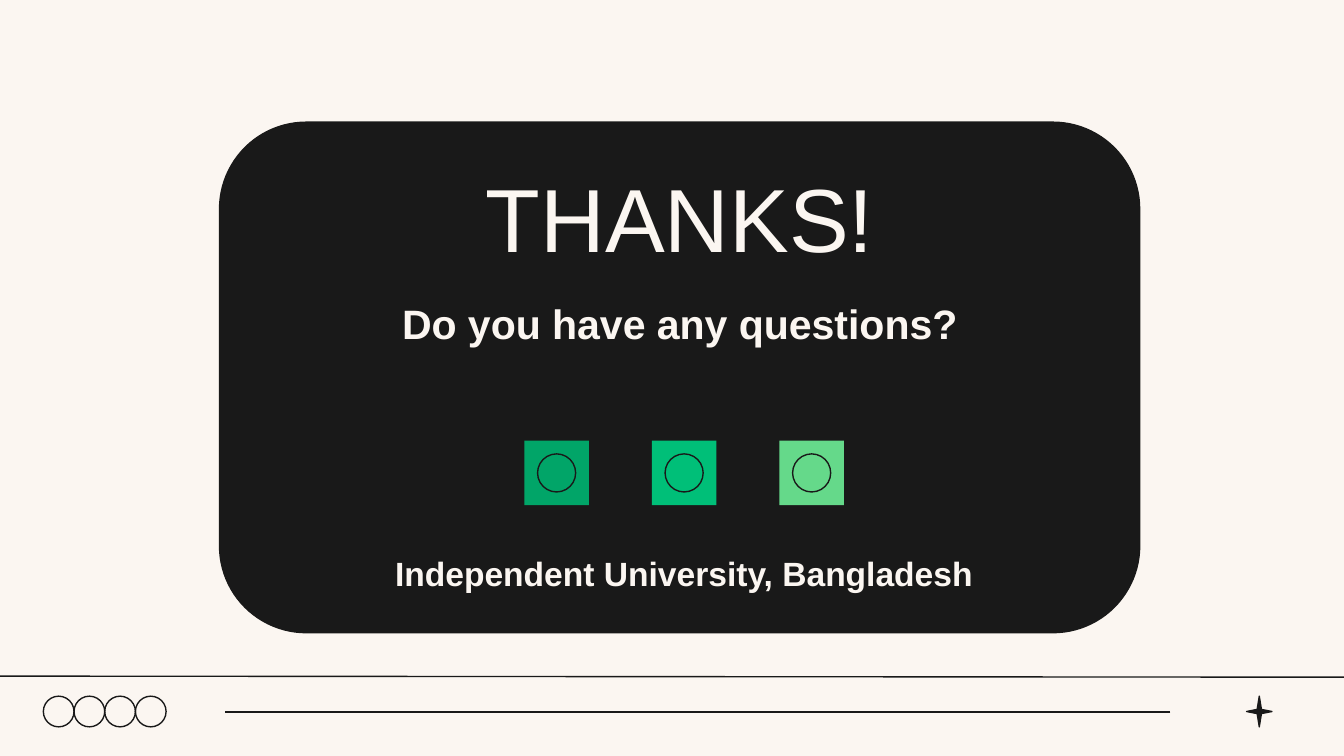
import pptx
import pptx.util
import pptx.dml.color
import pptx.enum.shapes
import pptx.enum.text
import pptx.oxml.ns
from lxml import etree

Cm = pptx.util.Cm
Pt = pptx.util.Pt
RGBColor = pptx.dml.color.RGBColor
Kind = pptx.enum.shapes.MSO_SHAPE
Anchor = pptx.enum.text.MSO_ANCHOR

CREAM = RGBColor(0xFB, 0xF6, 0xF1)
INK = RGBColor(0x19, 0x19, 0x19)
GREEN = RGBColor(0x01, 0xA5, 0x68)
JADE = RGBColor(0x00, 0xBF, 0x78)
MINT = RGBColor(0x65, 0xD9, 0x8A)


class Deck:
    face = "Arial"
    edge = Pt(0.75)
    inset = Cm(0.25)

    def __init__(self, slide):
        self.slide = slide
        self.shapes = slide.shapes

    def paint(self, shape, fill, line):
        shape.shadow.inherit = False
        if fill is None:
            shape.fill.background()
        else:
            shape.fill.solid()
            shape.fill.fore_color.rgb = fill
        if line is None:
            shape.line.fill.background()
        else:
            shape.line.color.rgb = line
            shape.line.width = self.edge

    def shape(self, kind, left, top, width, height, fill=None, line=None):
        shape = self.shapes.add_shape(
            kind, Cm(left), Cm(top), Cm(width), Cm(height))
        self.paint(shape, fill, line)
        return shape

    def line(self, left, top, right, bottom):
        line = self.shapes.add_connector(
            pptx.enum.shapes.MSO_CONNECTOR.STRAIGHT,
            Cm(left), Cm(top), Cm(right), Cm(bottom))
        line.line.color.rgb = INK
        line.line.width = self.edge
        etree.SubElement(line._element.spPr, pptx.oxml.ns.qn("a:effectLst"))

    def spark(self, x, y, wide, high, core):
        points = [(0, -high), (-core, -core), (-wide, 0), (-core, core),
                  (0, high), (core, core), (wide, 0), (core, -core)]
        spots = [(Cm(x + dx), Cm(y + dy)) for dx, dy in points]
        path = self.shapes.build_freeform(*spots[0])
        path.add_line_segments(spots[1:], close=True)
        self.paint(path.convert_to_shape(), INK, INK)

    def text(self, words, left, top, width, height, size, bold=False,
             anchor=Anchor.TOP):
        box = self.shapes.add_textbox(
            Cm(left), Cm(top), Cm(width), Cm(height))
        frame = box.text_frame
        format = {"word_wrap": True, "vertical_anchor": anchor}
        for side in ("left", "right", "top", "bottom"):
            format["margin_" + side] = self.inset
        for name, value in format.items():
            setattr(frame, name, value)
        para = frame.paragraphs[0]
        para.alignment = pptx.enum.text.PP_ALIGN.CENTER
        run = para.add_run()
        run.text = words
        style = {"name": self.face, "size": Pt(size), "bold": bold}
        for name, value in style.items():
            setattr(run.font, name, value)
        run.font.color.rgb = CREAM


def main():
    show = pptx.Presentation()
    show.slide_width = Cm(25.4)
    show.slide_height = Cm(14.29)
    slide = show.slides.add_slide(show.slide_layouts[6])
    slide.background.fill.solid()
    slide.background.fill.fore_color.rgb = CREAM
    deck = Deck(slide)

    card = deck.shape(Kind.ROUNDED_RECTANGLE, 4.15, 2.31, 17.39, 9.65,
                      INK, INK)
    card.adjustments[0] = 0.17

    deck.line(0, 12.78, 25.4, 12.8)
    deck.spark(23.8, 13.45, 0.24, 0.29, 0.04)
    ring = 0.58
    for index in range(4):
        deck.shape(Kind.OVAL, 0.82 + index * ring, 13.16, ring, ring,
                   line=INK)
    deck.line(22.12, 13.46, 4.25, 13.46)

    deck.text("THANKS!", 6.68, 2.62, 12.34, 2.95, 48, anchor=Anchor.MIDDLE)
    deck.text("Do you have any questions?", 6.68, 5.4, 12.34, 2.06, 22, True)

    tile, icon = 1.22, 0.72
    gap = (tile - icon) / 2
    for index, color in enumerate((GREEN, JADE, MINT)):
        left, top = 9.91 + index * 2.41, 8.33
        deck.shape(Kind.RECTANGLE, left, top, tile, tile, color)
        deck.shape(Kind.OVAL, left + gap, top + gap, icon, icon, line=INK)

    deck.text("Independent University, Bangladesh",
              6.76, 10.2, 12.34, 2.06, 18, True)
    show.save("out.pptx")


if __name__ == "__main__":
    main()
